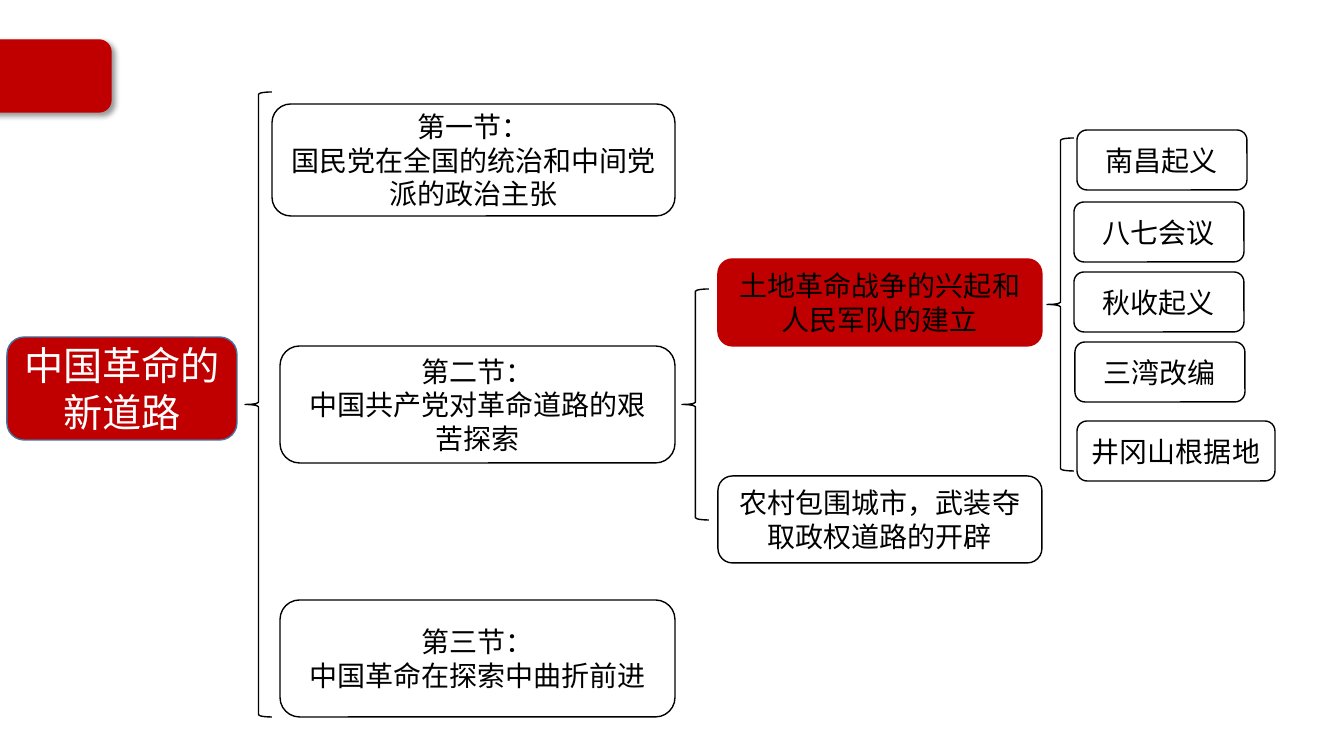
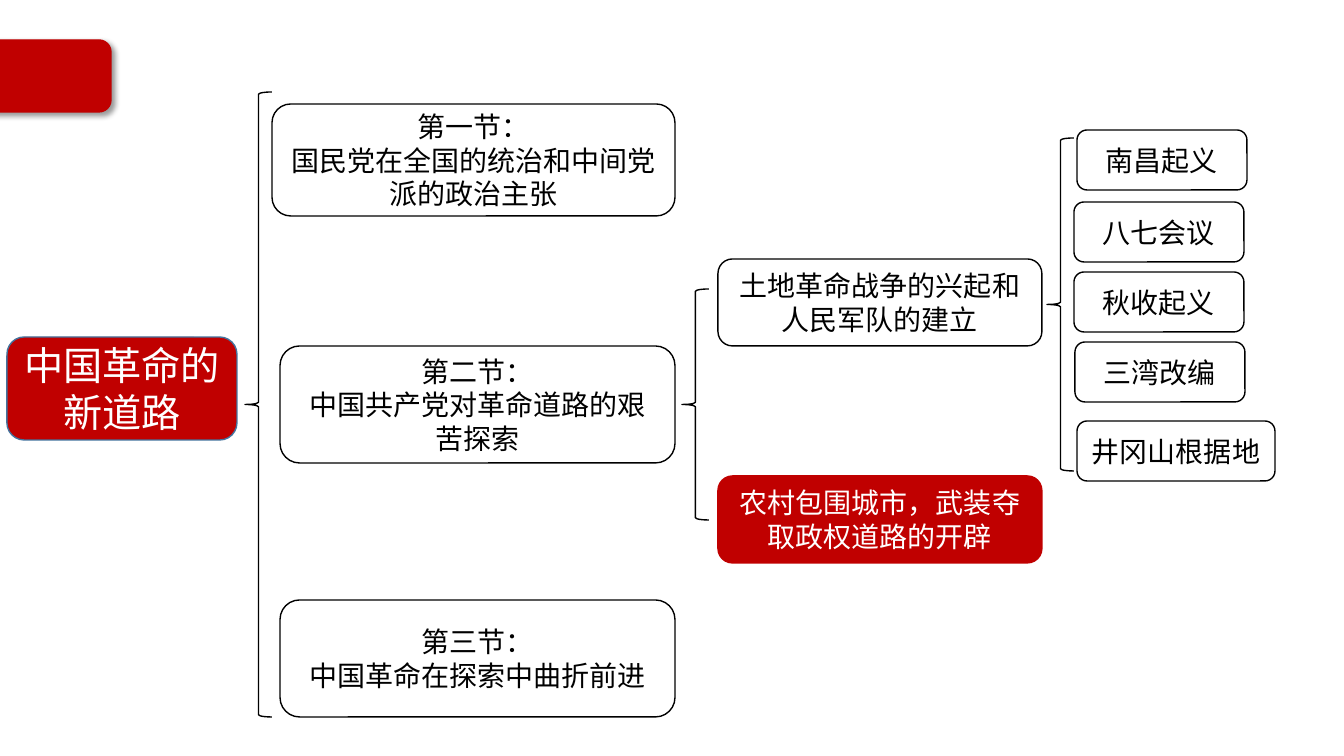
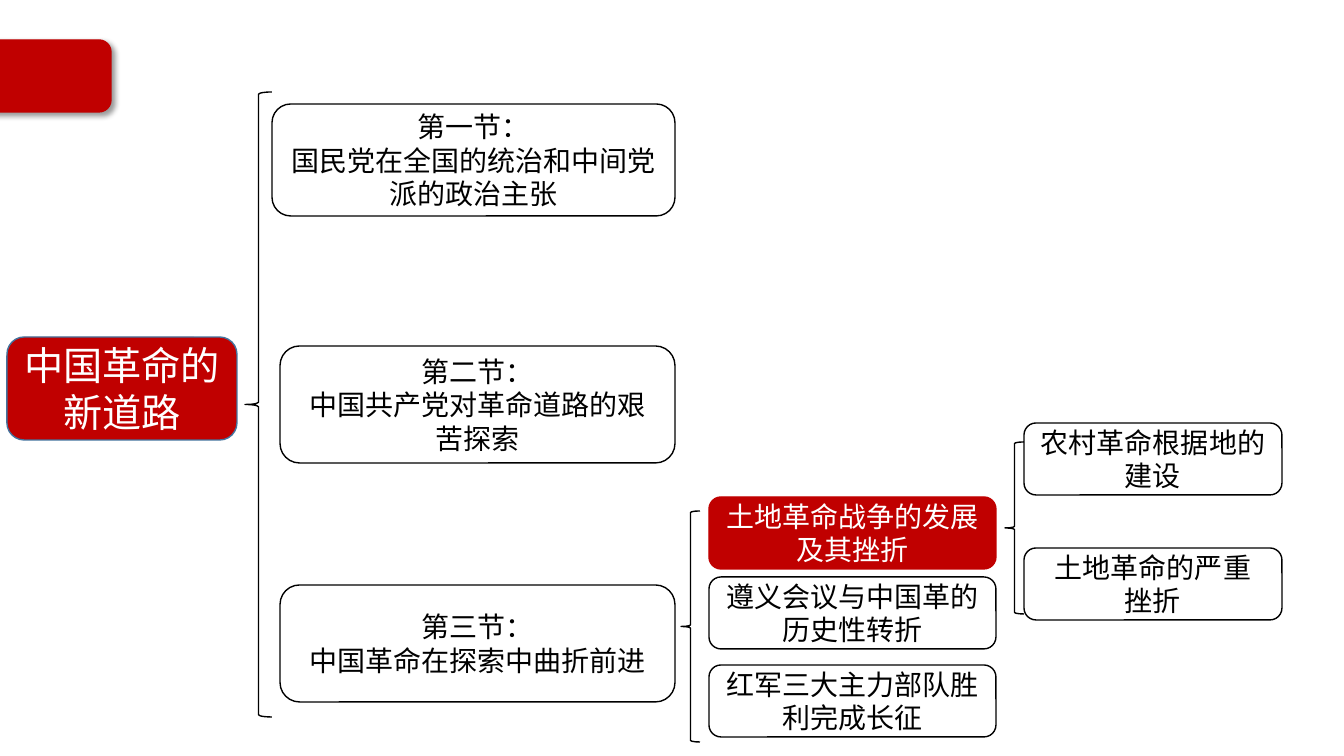
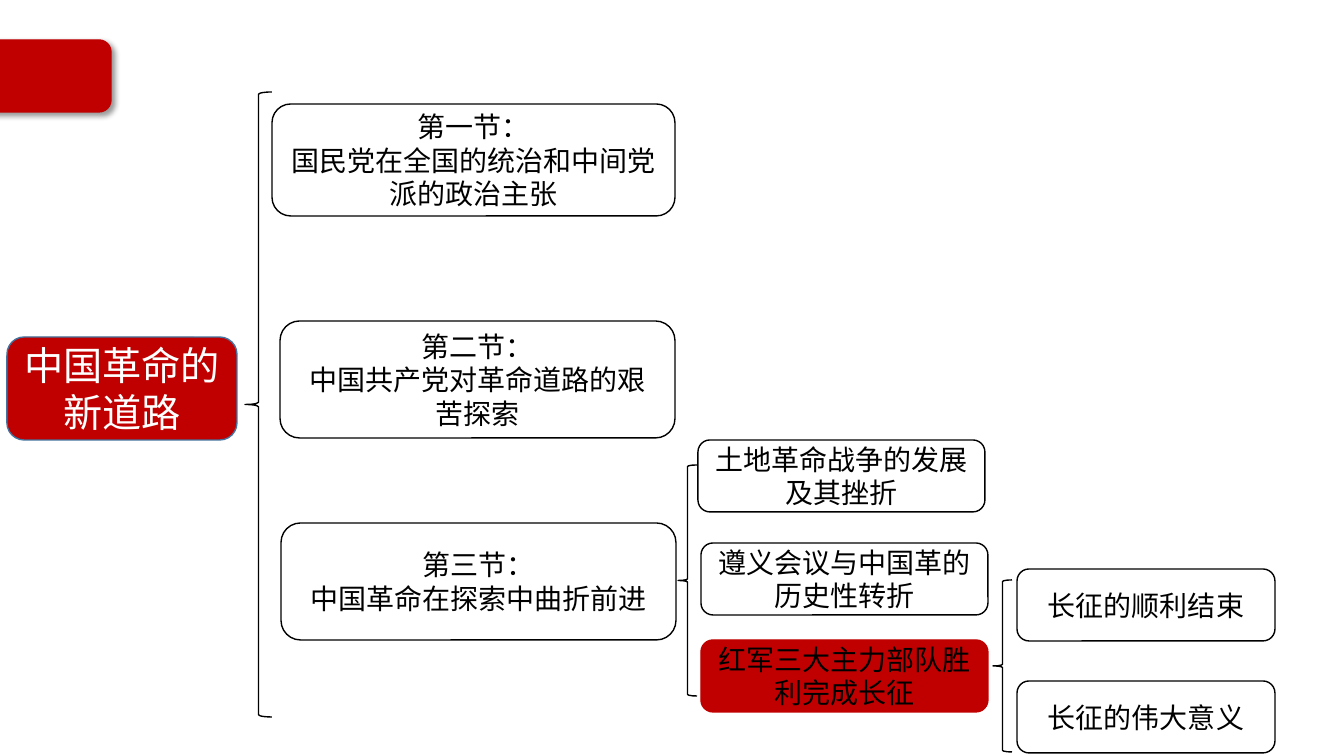
from lxml import etree
from pptx import Presentation
from pptx.dml.color import RGBColor
from pptx.enum.shapes import MSO_SHAPE
from pptx.enum.text import MSO_ANCHOR, PP_ALIGN
from pptx.oxml.ns import qn
from pptx.util import Emu, Pt

ROUND = MSO_SHAPE.ROUNDED_RECTANGLE
BRACE = MSO_SHAPE.LEFT_BRACE
CENTER = PP_ALIGN.CENTER
MIDDLE = MSO_ANCHOR.MIDDLE

SCALE = 914400 / 100.8
FONT = "Noto Sans CJK SC"
HEX = {"red": "C00000", "blue": "43739E", "black": "000000", "white": "FFFFFF"}

ROOT = "中国革命的新道路"
FIRST = "第一节：\n国民党在全国的统治和中间党派的政治主张"
SECOND = "第二节：\n中国共产党对革命道路的艰苦探索"
THIRD = "第三节：\n中国革命在探索中曲折前进"

RISE = "土地革命战争的兴起和人民军队的建立"
RURAL = "农村包围城市，武装夺取政权道路的开辟"
GROWTH = "土地革命战争的发展\n及其挫折"
ZUNYI = "遵义会议与中国革的\n历史性转折"
MARCH = "红军三大主力部队胜利完成长征"

EVENTS = [
    ("南昌起义", (1077, 130, 170, 60)),
    ("八七会议", (1074, 202, 170, 60)),
    ("秋收起义", (1074, 272, 170, 60)),
    ("三湾改编", (1075, 342, 170, 60)),
    ("井冈山根据地", (1077, 421, 198, 60)),
]


def px(num):
    return Emu(round(num * SCALE))


def tint(name):
    return RGBColor.from_string(HEX[name])


def add(slide, kind, at, line="black", fill=None):
    shape = slide.shapes.add_shape(kind, *map(px, at))
    shape.shadow.inherit = False
    shape.line.color.rgb = tint(line)
    shape.line.width = Pt(1)
    if fill:
        shape.fill.solid()
        shape.fill.fore_color.rgb = tint(fill)
    else:
        shape.fill.background()
    return shape


def box(slide, text, at, line="black", fill=None, ink="black", size=20):
    frame = add(slide, ROUND, at, line, fill).text_frame
    frame.text = text
    frame.word_wrap = True
    frame.vertical_anchor = MIDDLE
    for para in frame.paragraphs:
        para.alignment = CENTER
        para.font.size = Pt(size)
        para.font.color.rgb = tint(ink)
        para.font.name = FONT
        props = para._p.pPr.find(qn("a:defRPr"))
        etree.SubElement(props, qn("a:ea"), typeface=FONT)


def hot(slide, text, at, ink):
    box(slide, text, at, "red", "red", ink)


def group(slide, brace, items, pick=None, ink="white"):
    add(slide, BRACE, brace)
    for text, at in items:
        if text == pick:
            hot(slide, text, at, ink)
        else:
            box(slide, text, at)


def shade(shape):
    effects = shape.element.spPr.find(qn("a:effectLst"))
    outer = etree.SubElement(
        effects, qn("a:outerShdw"), blurRad=str(Pt(4)), dist=str(Pt(3)),
        dir=str(45 * 60000), algn="tl", rotWithShape="0")
    color = etree.SubElement(outer, qn("a:srgbClr"), val=HEX["black"])
    etree.SubElement(color, qn("a:alpha"), val="40000")


def add_tab(slide):
    tab = add(slide, ROUND, (-18, 40, 129, 72), "red", "red")
    shade(tab)
    slide.slide_layout.shapes.element.insert(2, tab.element)


def outline(deck, mid=(280, 346), low=(280, 600)):
    slide = deck.slides.add_slide(deck.slide_layouts[6])
    box(slide, ROOT, (7, 337, 230, 103), "blue", "red", "white", 28)
    add(slide, BRACE, (245, 92, 27, 625))
    box(slide, FIRST, (272, 104, 403, 112))
    for text, spot in ((SECOND, mid), (THIRD, low)):
        box(slide, text, (*spot, 395, 117), fill="white")
    return slide


def uprising(deck, pick, ink):
    slide = outline(deck)
    paths = [(RISE, (718, 259, 324, 87)), (RURAL, (718, 476, 324, 87))]
    group(slide, (682, 289, 27, 231), paths, pick, ink)
    group(slide, (1047, 138, 27, 333), EVENTS)
    return slide


def setback(deck):
    slide = outline(deck, low=(280, 585))
    tops = ((GROWTH, 497), (ZUNYI, 577), (MARCH, 665))
    parts = [(text, (709, top, 287, 72)) for text, top in tops]
    group(slide, (681, 511, 19, 231), parts, GROWTH)
    group(slide, (1005, 442, 19, 172), [
        ("农村革命根据地的建设", (1024, 423, 258, 72)),
        ("土地革命的严重\n挫折", (1024, 548, 258, 72)),
    ])


def victory(deck):
    slide = outline(deck, (280, 321), (281, 523))
    spots = ((GROWTH, 698, 440), (ZUNYI, 701, 543), (MARCH, 701, 640))
    parts = [(text, (left, top, 287, 72)) for text, left, top in spots]
    group(slide, (678, 465, 19, 231), parts, MARCH, "black")
    group(slide, (993, 580, 19, 172), [
        ("长征的顺利结束", (1017, 569, 258, 72)),
        ("长征的伟大意义", (1017, 681, 258, 72)),
    ])


def main():
    deck = Presentation()
    deck.slide_width, deck.slide_height = px(1344), px(756)
    add_tab(uprising(deck, RISE, "black"))
    uprising(deck, RURAL, "white")
    setback(deck)
    victory(deck)
    deck.save("out.pptx")


main()
